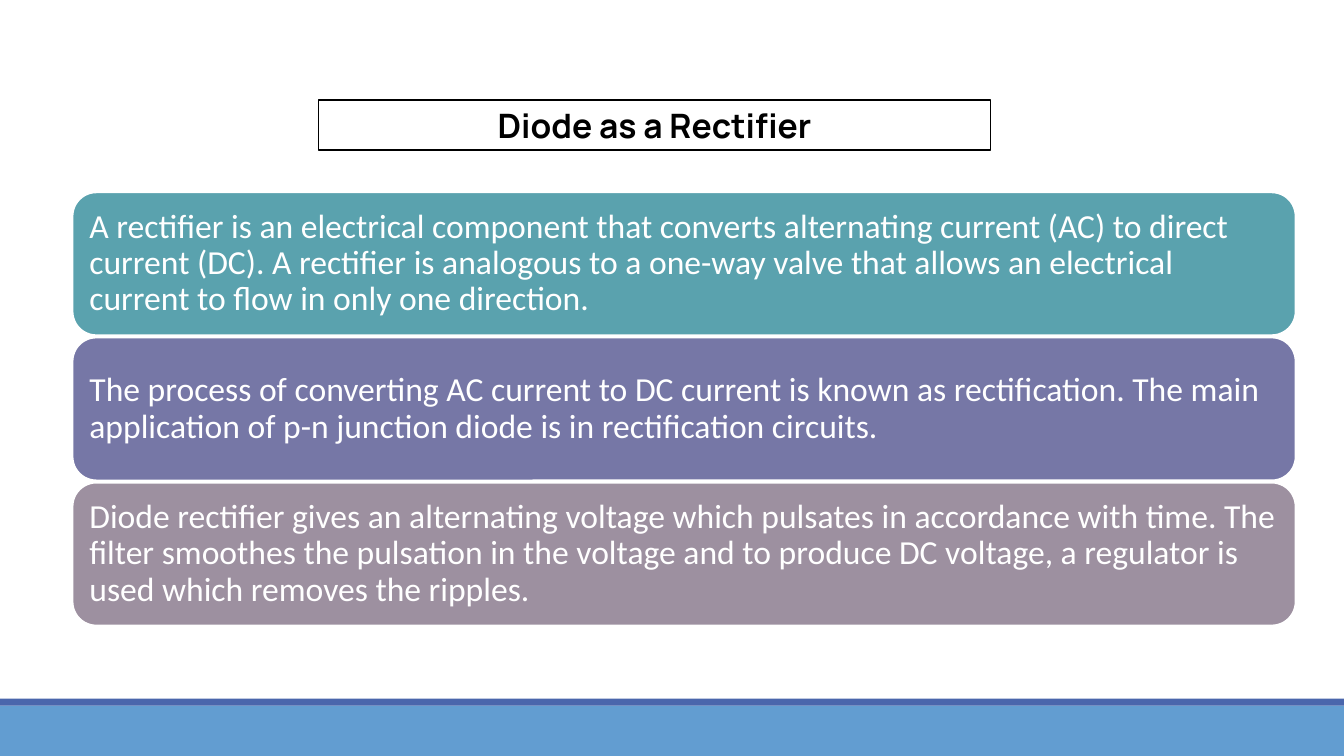
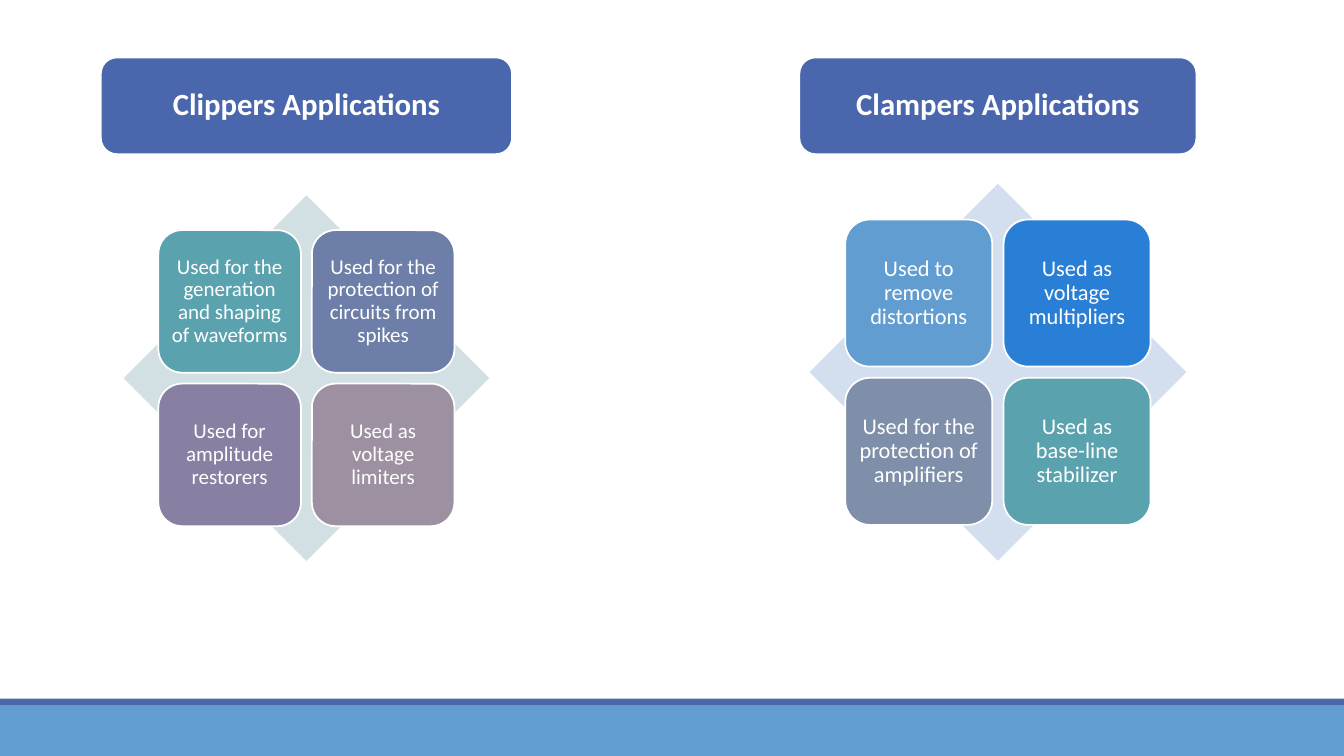
from pptx import Presentation
from pptx import util as u
from pptx.dml.color import RGBColor
from pptx.enum import shapes, text

WIDTH, HEIGHT = u.Inches(13.333), u.Inches(7.5)
WHITE, BLACK = "FFFFFF", "000000"
INDIGO, SKY, TEAL, MAUVE = "4A66AC", "629DD1", "5AA2AE", "9D90A0"
BODY_FONT, TITLE_FONT = "Calibri", "Manrope"
RECT = shapes.MSO_SHAPE.RECTANGLE
ROUNDED = shapes.MSO_SHAPE.ROUNDED_RECTANGLE
DIAMOND = shapes.MSO_SHAPE.DIAMOND

RECTIFIER_NOTES = [
    (TEAL, "A rectifier is an electrical component that converts alternating current (AC) "
           "to direct current (DC). A rectifier is analogous to a one-way valve that allows "
           "an electrical current to flow in only one direction."),
    ("7677A6", "The process of converting AC current to DC current is known as rectification. "
               "The main application of p-n junction diode is in rectification circuits."),
    (MAUVE, "Diode rectifier gives an alternating voltage which pulsates in accordance with "
            "time. The filter smoothes the pulsation in the voltage and to produce DC voltage, "
            "a regulator is used which removes the ripples."),
]
CLIPPER_USES = [
    (TEAL, "Used for the generation and shaping of waveforms"),
    ("6D7FA8", "Used for the protection of circuits from spikes"),
    ("887FA3", "Used for amplitude restorers"),
    (MAUVE, "Used as voltage limiters"),
]
CLAMPER_USES = [
    (SKY, "Used to remove distortions"),
    ("297FD5", "Used as voltage multipliers"),
    ("7F8FA9", "Used for the protection of amplifiers"),
    (TEAL, "Used as base-line stabilizer"),
]


def across(percent):
    """Share of the slide's width."""
    return round(WIDTH * percent / 100)


def down(percent):
    """Share of the slide's height."""
    return round(HEIGHT * percent / 100)


def color(hex_code):
    return RGBColor.from_string(hex_code)


def add_box(page, kind, left, top, width, height, fill, line=None):
    box = page.shapes.add_shape(kind, left, top, width, height)
    box.shadow.inherit = False
    box.fill.solid()
    box.fill.fore_color.rgb = color(fill)
    if line:
        box.line.color.rgb = color(line)
        box.line.width = u.Pt(1.25)
    else:
        box.line.fill.background()
    return box


def write(box, words, size, inset, font=BODY_FONT, ink=WHITE, bold=False,
          align=text.PP_ALIGN.CENTER, spacing=0.9):
    frame = box.text_frame
    frame.text = words
    frame.word_wrap = True
    frame.vertical_anchor = text.MSO_ANCHOR.MIDDLE
    frame.margin_left = frame.margin_right = u.Inches(inset)
    frame.margin_top = frame.margin_bottom = u.Inches(inset)
    para = frame.paragraphs[0]
    para.alignment = align
    para.line_spacing = spacing
    para.font.name = font
    para.font.size = u.Pt(size)
    para.font.bold = bold
    para.font.color.rgb = color(ink)


def add_page(deck):
    """Blank page with the two footer bands."""
    page = deck.slides.add_slide(deck.slide_layouts[6])
    add_box(page, RECT, 0, down(93.33), WIDTH, down(6.67), SKY)
    add_box(page, RECT, 0, down(92.4), WIDTH, down(0.93), INDIGO)
    return page


def add_title(page, words):
    box = add_box(page, RECT, across(23.7), down(13.2), across(50), down(6.7), WHITE, BLACK)
    write(box, words, 24, 0.05, font=TITLE_FONT, ink=BLACK, bold=True, spacing=1)


def add_bars(page, notes):
    for row, (fill, words) in enumerate(notes):
        box = add_box(page, ROUNDED, across(5.4), down(25.45 + 19.2 * row),
                      across(91), down(18.9), fill, WHITE)
        write(box, words, 24, 0.1, align=text.PP_ALIGN.LEFT)


def add_heading(page, words, center, width):
    box = add_box(page, ROUNDED, across(center - width / 2), down(7.6),
                  across(width), down(12.8), INDIGO, WHITE)
    write(box, words, 22, 0.15, bold=True)


def add_matrix(page, uses, center, top, side, backdrop, size):
    """Two by two tiles on a diamond; tiles are sized as shares of its side."""
    left, top, side = across(center - side / 2), down(top), across(side)
    add_box(page, DIAMOND, left, top, side, side, backdrop)
    margin, tile, step = (round(side * share) for share in (0.095, 0.39, 0.42))
    for index, (fill, words) in enumerate(uses):
        row, column = divmod(index, 2)
        box = add_box(page, ROUNDED, left + margin + column * step,
                      top + margin + row * step, tile, tile, fill, WHITE)
        write(box, words, size, 0.05)


def main():
    deck = Presentation()
    deck.slide_width, deck.slide_height = WIDTH, HEIGHT

    page = add_page(deck)
    add_title(page, "Diode as a Rectifier")
    add_bars(page, RECTIFIER_NOTES)

    page = add_page(deck)
    add_heading(page, "Clippers Applications", 22.8, 30.6)
    add_matrix(page, CLIPPER_USES, 22.8, 25.85, 27.2, "D2E0E3", 15)
    add_heading(page, "Clampers Applications", 74.25, 29.55)
    add_matrix(page, CLAMPER_USES, 74.25, 24.3, 28.05, "D3DFEE", 16)

    deck.save("out.pptx")


if __name__ == "__main__":
    main()
